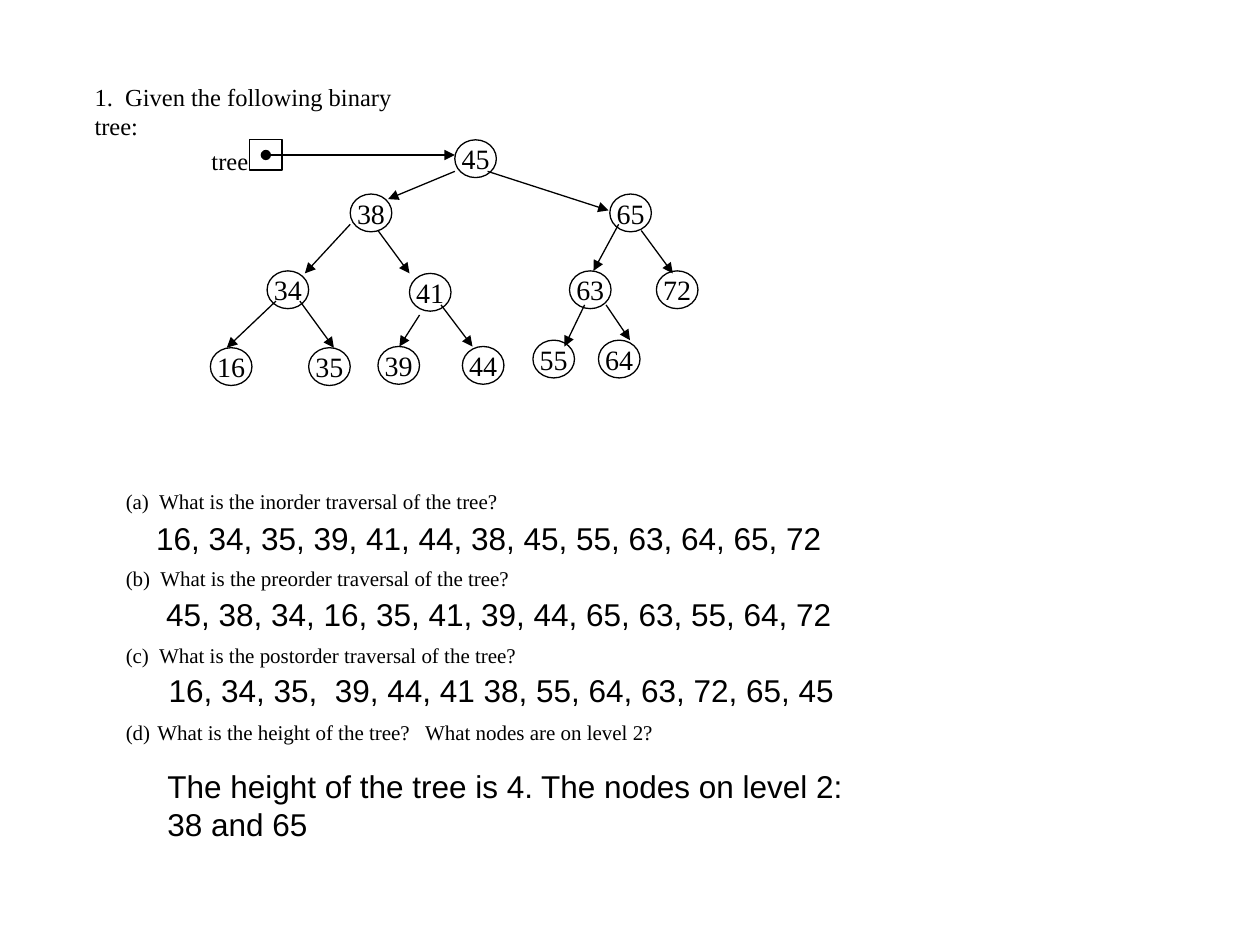
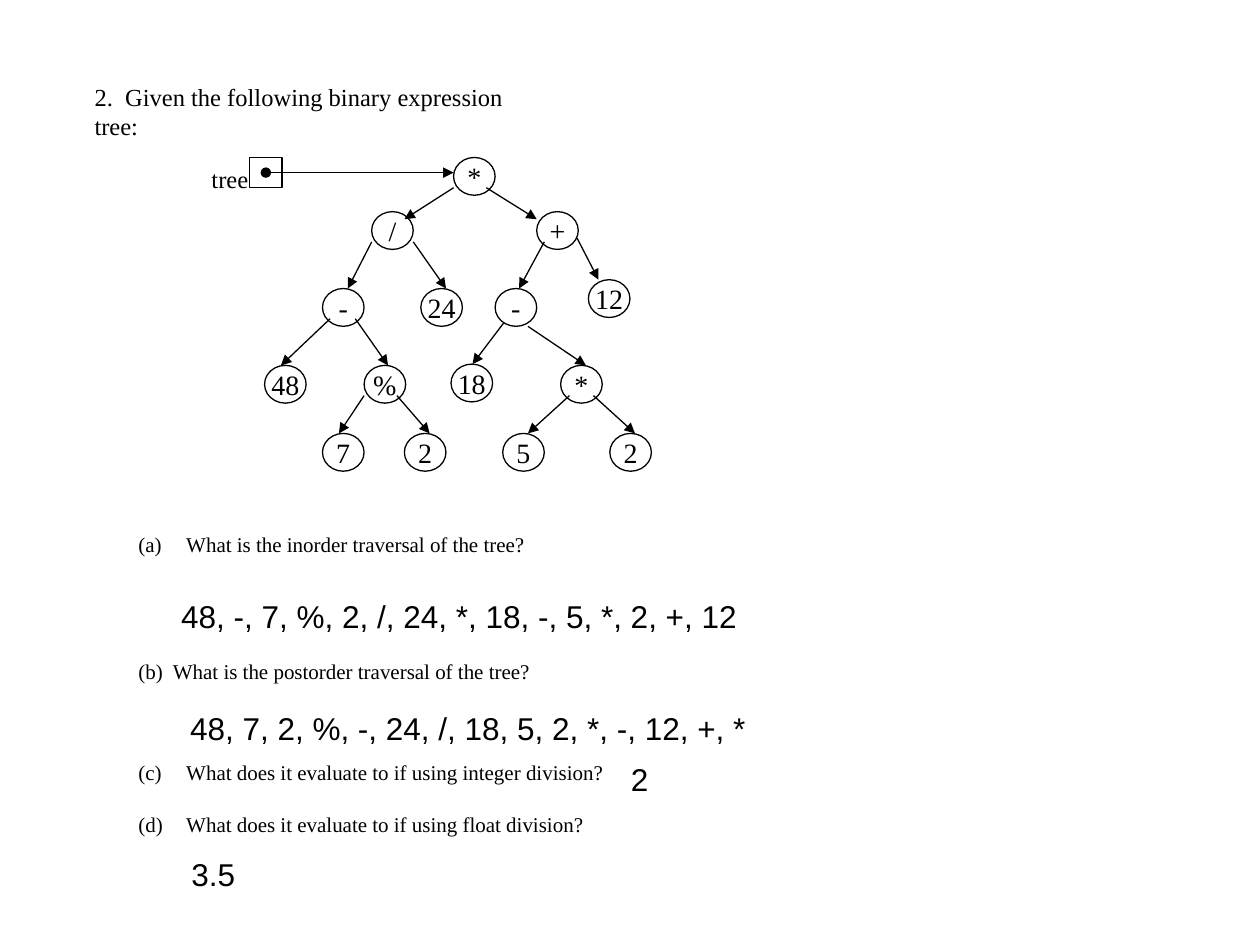
from typing import Any, NamedTuple

from pptx import Presentation
from pptx import util as u
from pptx.dml.color import RGBColor
from pptx.enum import shapes, text
from pptx.oxml.ns import qn
from lxml import etree

COLORS = {"ink": "000000"}
SERIF, SANS = "Times New Roman", "Arial"
FONTS = {
    "heading": {"name": SERIF, "size": u.Pt(14)},
    "question": {"name": SERIF, "size": u.Pt(12)},
    "node": {"name": SERIF, "size": u.Pt(16)},
    "answer": {"name": SANS, "size": u.Pt(18)},
}
NODE_WIDTH, NODE_HEIGHT = 0.33, 0.3
LINE_WIDTH = u.Pt(0.75)


class Node(NamedTuple):
    label: str
    left: float
    top: float


class Edge(NamedTuple):
    x1: float
    y1: float
    x2: float
    y2: float


class Area(NamedTuple):
    left: float
    top: float
    width: float
    height: float


class Question(NamedTuple):
    wording: str
    number: int = 0  # automatic letter to start at; 0 when typed
    indent: float = 0
    gap: float = 0  # points before the paragraph


class Answer(NamedTuple):
    wording: str
    area: Area


class Exercise(NamedTuple):
    heading: str
    heading_width: float
    tree_top: float
    nodes: list[Node]
    edges: list[Edge]
    question_area: Area
    questions: list[Question]
    answers: list[Answer]


EXERCISES = [
    Exercise(
        "1.  Given the following binary tree:", 2.95, 1.11,
        [
            Node("45", 3.61, 1.11),
            Node("38", 2.78, 1.54), Node("65", 4.84, 1.54),
            Node("34", 2.12, 2.15), Node("41", 3.25, 2.17),
            Node("63", 4.52, 2.15), Node("72", 5.21, 2.15),
            Node("16", 1.67, 2.76), Node("35", 2.45, 2.76),
            Node("39", 3, 2.75), Node("44", 3.67, 2.75),
            Node("55", 4.23, 2.7), Node("64", 4.75, 2.7),
        ],
        [
            Edge(3.61, 1.36, 3.08, 1.58), Edge(3.87, 1.36, 4.83, 1.67),
            Edge(2.78, 1.78, 2.42, 2.17), Edge(3, 1.83, 3.25, 2.17),
            Edge(4.91, 1.78, 4.71, 2.15), Edge(5.09, 1.83, 5.34, 2.17),
            Edge(2.19, 2.39, 1.8, 2.76), Edge(2.38, 2.39, 2.65, 2.76),
            Edge(3.33, 2.5, 3.17, 2.75), Edge(3.5, 2.42, 3.75, 2.75),
            Edge(4.64, 2.42, 4.48, 2.75), Edge(4.81, 2.42, 5, 2.7),
        ],
        Area(0.9, 3.83, 5.03, 2.32),
        [
            Question("(a)  What is the inorder traversal of the tree?"),
            Question("(b)  What is the preorder traversal of the tree?", gap=29.5),
            Question("(c)  What is the postorder traversal of the tree?", gap=29.5),
            Question("What is the height of the tree?   What nodes are on level 2?",
                     4, 0.25, 29.5),
        ],
        [
            Answer("16, 34, 35, 39, 41, 44, 38, 45, 55, 63, 64, 65, 72",
                   Area(1.14, 4.07, 6.5, 0.4)),
            Answer("45, 38, 34, 16, 35, 41, 39, 44, 65, 63, 55, 64, 72",
                   Area(1.22, 4.67, 7.19, 0.4)),
            Answer("16, 34, 35,  39, 44, 41 38, 55, 64, 63, 72, 65, 45",
                   Area(1.24, 5.28, 6.1, 0.4)),
            Answer("The height of the tree is 4. The nodes on level 2: 38 and 65",
                   Area(1.23, 6.04, 5.79, 0.71)),
        ],
    ),
    Exercise(
        "2.  Given the following binary expression tree:", 3.83, 1.25,
        [
            Node("*", 3.6, 1.25),
            Node("/", 2.95, 1.68), Node("+", 4.26, 1.68),
            Node("-", 2.56, 2.29), Node("24", 3.34, 2.29),
            Node("-", 3.93, 2.29), Node("12", 4.67, 2.22),
            Node("48", 2.1, 2.9), Node("%", 2.89, 2.9),
            Node("18", 3.58, 2.89), Node("*", 4.45, 2.9),
            Node("7", 2.56, 3.44), Node("2", 3.21, 3.44),
            Node("5", 3.99, 3.44), Node("2", 4.84, 3.44),
        ],
        [
            Edge(3.6, 1.49, 3.21, 1.74), Edge(3.86, 1.49, 4.26, 1.74),
            Edge(2.95, 1.92, 2.76, 2.29), Edge(3.28, 1.92, 3.54, 2.29),
            Edge(4.32, 1.92, 4.12, 2.29), Edge(4.58, 1.89, 4.75, 2.22),
            Edge(2.62, 2.53, 2.23, 2.9), Edge(2.82, 2.53, 3.08, 2.9),
            Edge(4, 2.56, 3.75, 2.89), Edge(4.19, 2.59, 4.65, 2.9),
            Edge(2.89, 3.14, 2.69, 3.44), Edge(3.15, 3.14, 3.41, 3.44),
            Edge(4.52, 3.14, 4.19, 3.44), Edge(4.71, 3.14, 5.04, 3.44),
        ],
        Area(1, 4.17, 3.94, 3.13),
        [
            Question("What is the inorder traversal of the tree?", 1, 0.38),
            Question("(b)  What is the postorder traversal of the tree?", 0, 0.38, 58),
            Question("What does it evaluate to if using integer division?", 3, 0.38, 43.5),
            Question("What does it evaluate to if using float division?", 4, 0.38, 15.5),
        ],
        [
            Answer("48, -, 7, %, 2, /, 24, *, 18, -, 5, *, 2, +, 12",
                   Area(1.34, 4.69, 6.57, 0.4)),
            Answer("48, 7, 2, %, -, 24, /, 18, 5, 2, *, -, 12, +, *",
                   Area(1.41, 5.58, 5.01, 0.42)),
            Answer("2", Area(4.91, 5.98, 3, 0.4)),
            Answer("3.5", Area(1.42, 6.74, 3, 0.4)),
        ],
    ),
]


def color(name: str) -> RGBColor:
    return RGBColor.from_string(COLORS[name])


def inches(values: tuple) -> list[u.Length]:
    return [u.Inches(value) for value in values]


def write(para: Any, wording: str, style: str) -> None:
    span = para.add_run()
    span.text = wording
    for name, value in FONTS[style].items():
        setattr(span.font, name, value)
    span.font.color.rgb = color("ink")


def add_label(parent: Any, area: Area, wording: str, style: str, wrap: bool = True) -> None:
    frame = parent.add_textbox(*inches(area)).text_frame
    frame.word_wrap = wrap
    write(frame.paragraphs[0], wording, style)


def add_outline(parent: Any, kind: Any, area: Area) -> Any:
    shape = parent.add_shape(kind, *inches(area))
    shape.shadow.inherit = False
    shape.fill.background()
    shape.line.color.rgb = color("ink")
    shape.line.width = LINE_WIDTH
    return shape


def add_node(parent: Any, node: Node) -> None:
    area = Area(node.left, node.top, NODE_WIDTH, NODE_HEIGHT)
    frame = add_outline(parent, shapes.MSO_SHAPE.OVAL, area).text_frame
    frame.word_wrap = False
    frame.vertical_anchor = text.MSO_ANCHOR.MIDDLE
    frame.paragraphs[0].alignment = text.PP_ALIGN.CENTER
    write(frame.paragraphs[0], node.label, "node")


def add_arrow(parent: Any, edge: Edge, head: str = "none") -> None:
    arrow = parent.add_connector(shapes.MSO_CONNECTOR.STRAIGHT, *inches(edge))
    arrow.line.color.rgb = color("ink")
    arrow.line.width = LINE_WIDTH
    line = arrow.line._get_or_add_ln()
    for tag, kind in (("a:headEnd", head), ("a:tailEnd", "triangle")):
        etree.SubElement(line, qn(tag), type=kind)
    etree.SubElement(arrow._element.spPr, qn("a:effectLst"))


def add_tree(page: Any, exercise: Exercise) -> None:
    """Draw the nodes, the edges and the pointer to the root as one group."""
    parent = page.shapes.add_group_shape().shapes
    top = exercise.tree_top
    for node in exercise.nodes:
        add_node(parent, node)
    for edge in exercise.edges:
        add_arrow(parent, edge)
    add_outline(parent, shapes.MSO_SHAPE.RECTANGLE, Area(1.98, top, 0.26, 0.24))
    add_label(parent, Area(1.58, top, 0.49, 0.33), "tree", "heading", wrap=False)
    add_arrow(parent, Edge(2.11, top + 0.12, exercise.nodes[0].left, top + 0.12), "oval")


def add_heading(page: Any, exercise: Exercise) -> None:
    title = page.shapes.title
    area = inches(Area(0.65, 0.6, exercise.heading_width, 0.33))
    for name, value in zip(("left", "top", "width", "height"), area):
        setattr(title, name, value)
    frame = title.text_frame
    layout = {"word_wrap": True, "auto_size": text.MSO_AUTO_SIZE.NONE,
              "vertical_anchor": text.MSO_ANCHOR.TOP}
    for name, value in layout.items():
        setattr(frame, name, value)
    frame.paragraphs[0].alignment = text.PP_ALIGN.LEFT
    write(frame.paragraphs[0], exercise.heading, "heading")


def add_questions(page: Any, exercise: Exercise) -> None:
    frame = page.shapes.add_textbox(*inches(exercise.question_area)).text_frame
    frame.word_wrap = True
    for index, question in enumerate(exercise.questions):
        para = frame.add_paragraph() if index else frame.paragraphs[0]
        para.space_before = u.Pt(question.gap)
        write(para, question.wording, "question")
        props = para._p.get_or_add_pPr()
        indent = u.Inches(question.indent)
        props.set("marL", str(indent))
        props.set("indent", str(-indent))
        if question.number:
            etree.SubElement(props, qn("a:buAutoNum"), type="alphaLcParenBoth",
                             startAt=str(question.number))


def main() -> None:
    deck = Presentation()
    deck.slide_width, deck.slide_height = u.Inches(10), u.Inches(7.5)
    title_only = deck.slide_layouts[5]
    for exercise in EXERCISES:
        page = deck.slides.add_slide(title_only)
        add_heading(page, exercise)
        add_questions(page, exercise)
        add_tree(page, exercise)
        for answer in exercise.answers:
            add_label(page.shapes, answer.area, answer.wording, "answer")
    deck.save("out.pptx")


if __name__ == "__main__":
    main()
